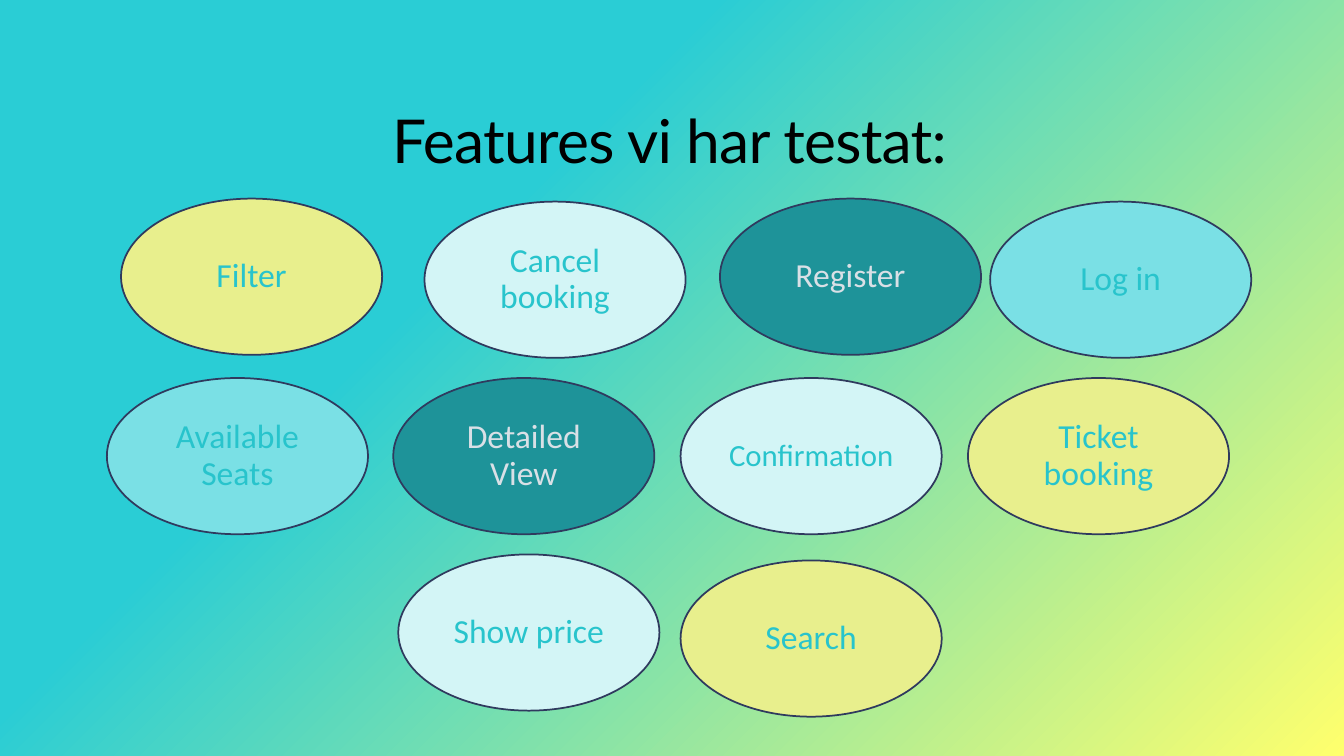
import pptx
import pptx.util
import pptx.dml.color
import pptx.enum.shapes
import pptx.enum.text
import pptx.oxml
import pptx.oxml.ns

Inches, Pt, qn = pptx.util.Inches, pptx.util.Pt, pptx.oxml.ns.qn

TITLE = "Features vi har testat:"
GRADIENT = [(0, "FFFF6D"), (0.66, "2ACDD5")]
WIDE, HIGH = 2.59, 1.55
EDGE = "2F3A5E"
# style: fill, text colour
STYLES = {
    "lime": ("E8EF8D", "28C4CC"),
    "pale": ("D3F5F6", "28C4CC"),
    "teal": ("1E9399", "D9E0E6"),
    "aqua": ("7AE0E5", "28C4CC"),
}
# label, style, left, top, text size
FEATURES = [
    ("Filter", "lime", 1.2, 1.97, 24),
    ("Cancel booking", "pale", 4.21, 2, 24),
    ("Register", "teal", 7.14, 1.97, 24),
    ("Log in", "aqua", 9.82, 2, 24),
    ("Available Seats", "aqua", 1.06, 3.75, 24),
    ("Detailed View", "teal", 3.9, 3.75, 24),
    ("Confirmation", "pale", 6.75, 3.75, 22),
    ("Ticket booking", "lime", 9.6, 3.75, 24),
    ("Show price", "pale", 3.95, 5.5, 24),
    ("Search", "lime", 6.75, 5.56, 24),
]


def paint(color, code):
    color.rgb = pptx.dml.color.RGBColor.from_string(code)


def write(shape, text, font, size, code, spacing):
    """Put one styled paragraph in the shape and return it."""
    frame = shape.text_frame
    frame.text = text
    frame.word_wrap = True
    para = frame.paragraphs[0]
    para.line_spacing = spacing
    face = para.runs[0].font
    face.name, face.size = font, Pt(size)
    paint(face.color, code)
    return para


def set_back(slide):
    """Fill the background with a gradient centred on the lower right corner."""
    fill = slide.background.fill
    fill.gradient()
    for stop, (place, code) in zip(fill.gradient_stops, GRADIENT):
        stop.position = place
        paint(stop.color, code)
    grad = next(slide.element.iter(qn("a:gradFill")))
    grad.remove(grad.find(qn("a:lin")))
    names = pptx.oxml.ns.nsdecls("a")
    stops = grad.find(qn("a:gsLst"))
    stops.addnext(pptx.oxml.parse_xml(
        f'<a:path {names} path="circle"><a:fillToRect l="100000" t="100000"/></a:path>'))


def add_title(slide):
    box = slide.shapes.add_textbox(Inches(3.79), Inches(0.44), Inches(5.76), Inches(1.35))
    write(box, TITLE, "Lato", 43.2, "000000", 0.85)
    box.text_frame.vertical_anchor = pptx.enum.text.MSO_ANCHOR.BOTTOM
    next(box.element.iter(qn("a:rPr"))).set("spc", "-50")


def add_oval(slide, label, style, left, top, size):
    back, ink = STYLES[style]
    oval = slide.shapes.add_shape(
        pptx.enum.shapes.MSO_SHAPE.OVAL,
        Inches(left), Inches(top), Inches(WIDE), Inches(HIGH))
    oval.shadow.inherit = False
    oval.fill.solid()
    paint(oval.fill.fore_color, back)
    paint(oval.line.color, EDGE)
    oval.line.width = Pt(1.25)
    para = write(oval, label, "Calibri", size, ink, 0.9)
    para.alignment = pptx.enum.text.PP_ALIGN.CENTER
    frame = oval.text_frame
    frame.vertical_anchor = pptx.enum.text.MSO_ANCHOR.MIDDLE
    frame.margin_left = frame.margin_right = Inches(0.1)
    frame.margin_top = frame.margin_bottom = Inches(0.1)


def main():
    deck = pptx.Presentation()
    deck.slide_width, deck.slide_height = Inches(13.33), Inches(7.5)
    slide = deck.slides.add_slide(deck.slide_layouts[6])
    set_back(slide)
    add_title(slide)
    for feature in FEATURES:
        add_oval(slide, *feature)
    deck.save("out.pptx")


if __name__ == "__main__":
    main()
